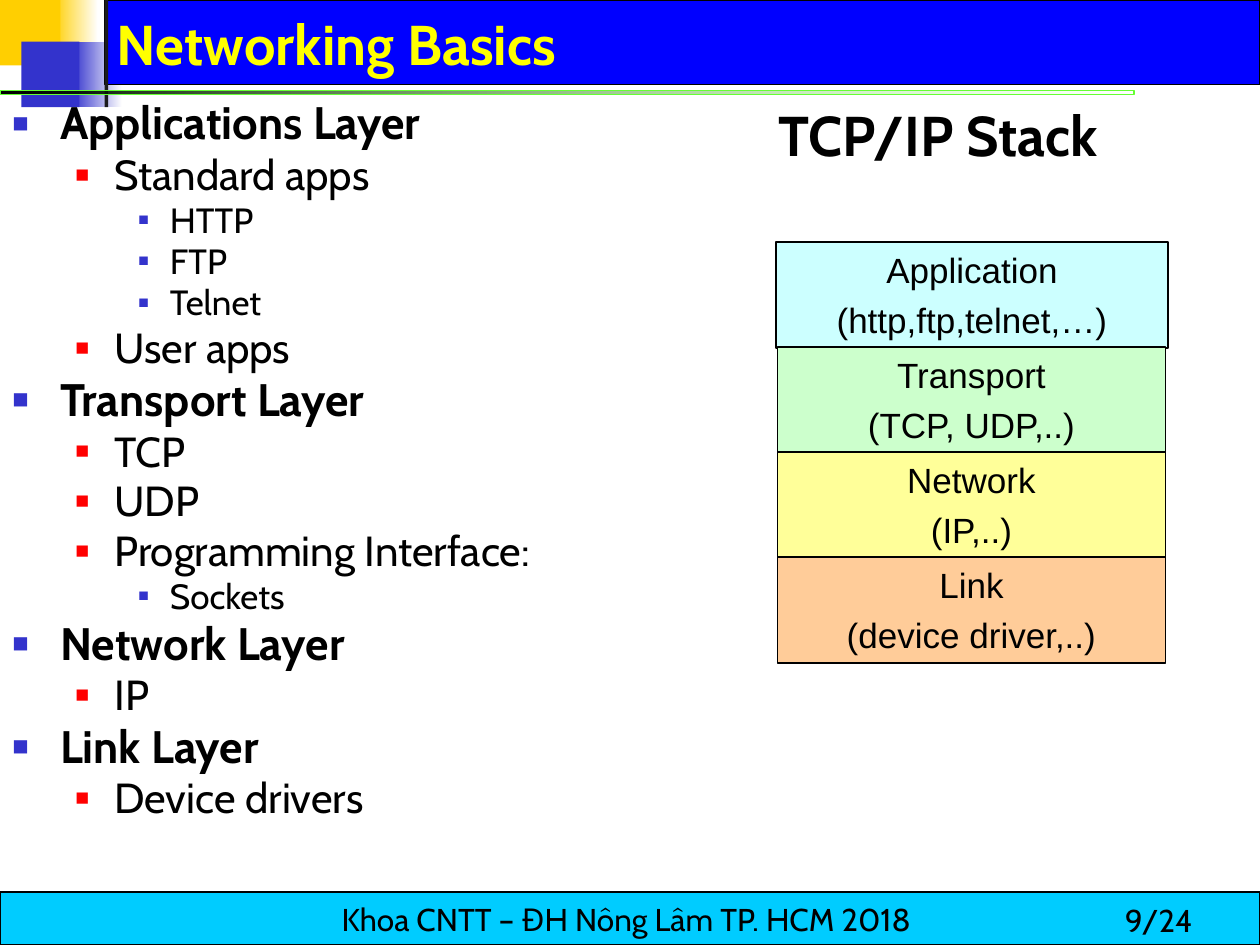
from dataclasses import dataclass

from lxml.etree import SubElement
from pptx import Presentation
from pptx.dml.color import RGBColor
from pptx.enum.shapes import MSO_SHAPE as Preset
from pptx.enum.text import MSO_ANCHOR as Anchor, PP_ALIGN as Align
from pptx.oxml.ns import qn
from pptx.util import Inches, Pt

COLORS = {
    "black": "000000", "white": "FFFFFF", "gold": "FFCF01", "indigo": "3333CC",
    "blue": "0000FF", "charcoal": "1C1C1C", "green": "66FF33", "cyan": "00CCFF",
    "yellow": "FFFF00", "red": "FF0000", "pale cyan": "CCFFFF",
    "pale green": "CCFFCC", "pale yellow": "FFFF99", "peach": "FFCC99",
}


@dataclass
class Block:
    left: float
    top: float
    width: float
    height: float
    fill: str
    fade_to: str = ""
    line: str = ""
    line_width: float = 0.75


@dataclass
class Level:
    size: int
    indent: float
    hanging: float
    bullet_color: str
    bullet_percent: int
    bold: bool = False


@dataclass
class Layer:
    name: str
    examples: str
    fill: str
    left: float = 6.17
    width: float = 3.08


DECOR = [
    Block(0.42, 0, 0.36, 0.52, "gold", "white"),
    Block(0.57, 0.33, 0.4, 0.52, "indigo", "white"),
    Block(0.83, 0, 9.17, 0.67, "blue", line="black"),
    Block(0, 0, 0.48, 0.52, "gold"),
    Block(0.17, 0.33, 0.46, 0.52, "indigo"),
    Block(0.83, 0, 0.03, 0.85, "charcoal"),
]
RULE = Block(0, 0.72, 9, 0.03, "black", "green", "green", 0)
FOOTER = Block(0, 7.08, 10, 0.42, "cyan", line="black")
LEVELS = [
    Level(26, 0.38, 0.38, "indigo", 60, True),
    Level(24, 0.81, 0.31, "red", 55),
    Level(20, 1.25, 0.25, "indigo", 50),
]
OUTLINE = [
    (0, "Applications Layer"), (1, "Standard apps"),
    (2, "HTTP"), (2, "FTP"), (2, "Telnet"), (1, "User apps"),
    (0, "Transport Layer"), (1, "TCP"), (1, "UDP"),
    (1, "Programming Interface:"), (2, "Sockets"),
    (0, "Network Layer"), (1, "IP"),
    (0, "Link Layer"), (1, "Device drivers"),
]
STACK = [
    Layer("Application", "(http,ftp,telnet,…)", "pale cyan", 6.16, 3.11),
    Layer("Transport", "(TCP, UDP,..)", "pale green"),
    Layer("Network", "(IP,..)", "pale yellow"),
    Layer("Link", "(device driver,..)", "peach"),
]
STACK_TOP, STACK_STEP, LAYER_HEIGHT = 1.92, 2.5 / 3, 0.84


def rgb(name: str) -> RGBColor:
    return RGBColor.from_string(COLORS[name])


def draw_block(block: Block):
    shape = slide.shapes.add_shape(
        Preset.RECTANGLE, Inches(block.left), Inches(block.top),
        Inches(block.width), Inches(block.height))
    shape.shadow.inherit = False
    if block.fade_to:
        shape.fill.gradient()
        shape.fill.gradient_angle = 0
        for stop, name in zip(shape.fill.gradient_stops, (block.fill, block.fade_to)):
            stop.color.rgb = rgb(name)
    else:
        shape.fill.solid()
        shape.fill.fore_color.rgb = rgb(block.fill)
    if block.line:
        shape.line.color.rgb = rgb(block.line)
        shape.line.width = Pt(block.line_width)
    else:
        shape.line.fill.background()
    return shape


def add_frame(left: float, top: float, width: float, height: float):
    frame = slide.shapes.add_textbox(
        Inches(left), Inches(top), Inches(width), Inches(height)).text_frame
    frame.word_wrap = True
    return frame


def write(paragraph, text: str, size: int, font: str = "Cabin",
          color: str = "black", bold: bool = False) -> None:
    paragraph.text = text
    paragraph.font.size = Pt(size)
    paragraph.font.name = font
    paragraph.font.bold = bold
    paragraph.font.color.rgb = rgb(color)


def add_bullet(paragraph, level: Level) -> None:
    props = paragraph._p.get_or_add_pPr()
    props.set("marL", str(Inches(level.indent)))
    props.set("indent", str(-Inches(level.hanging)))
    color = SubElement(props, qn("a:buClr"))
    SubElement(color, qn("a:srgbClr"), val=COLORS[level.bullet_color])
    SubElement(props, qn("a:buSzPct"), val=str(level.bullet_percent * 1000))
    SubElement(props, qn("a:buFont"), typeface="Arial")
    SubElement(props, qn("a:buChar"), char="■")


def write_outline() -> None:
    frame = add_frame(0, 0.75, 5.33, 6.25)
    for index, (depth, text) in enumerate(OUTLINE):
        paragraph = frame.add_paragraph() if index else frame.paragraphs[0]
        level = LEVELS[depth]
        paragraph.level = depth
        paragraph.line_spacing = 0.9
        paragraph.space_before = Pt(level.size * 0.1)
        add_bullet(paragraph, level)
        write(paragraph, text, level.size, bold=level.bold)


def draw_layer(layer: Layer, top: float) -> None:
    frame = draw_block(Block(layer.left, top, layer.width, LAYER_HEIGHT,
                             layer.fill, line="black", line_width=1)).text_frame
    frame.vertical_anchor = Anchor.TOP
    frame.add_paragraph()
    for paragraph, text in zip(frame.paragraphs, (layer.name, layer.examples)):
        paragraph.alignment = Align.CENTER
        paragraph.space_before = Pt(4.8)
        write(paragraph, text, 20, "Arial")


deck = Presentation()
deck.slide_width, deck.slide_height = Inches(10), Inches(7.5)
slide = deck.slides.add_slide(deck.slide_layouts[6])

for decor in DECOR:
    draw_block(decor)
rule = draw_block(RULE)
rule_end = rule._element.spPr.findall(".//" + qn("a:srgbClr"))[1]
SubElement(rule_end, qn("a:alpha"), val="0")

footer = draw_block(FOOTER).text_frame
footer.word_wrap = False
footer.vertical_anchor = Anchor.MIDDLE
footer.paragraphs[0].alignment = Align.CENTER
write(footer.paragraphs[0], "Khoa CNTT – ĐH Nông Lâm TP. HCM 2018 ", 18)
write(add_frame(8.83, 7.1, 1.17, 0.4).paragraphs[0], "9/24", 18)

title = add_frame(0.83, 0.08, 8.94, 0.58)
title.vertical_anchor = Anchor.BOTTOM
write(title.paragraphs[0], "Networking Basics", 32, color="yellow", bold=True)

write_outline()
write(add_frame(6.08, 0.75, 3.92, 6.25).paragraphs[0], "TCP/IP Stack", 32, bold=True)
for position, stack_layer in enumerate(STACK):
    draw_layer(stack_layer, STACK_TOP + position * STACK_STEP)

deck.save("out.pptx")
